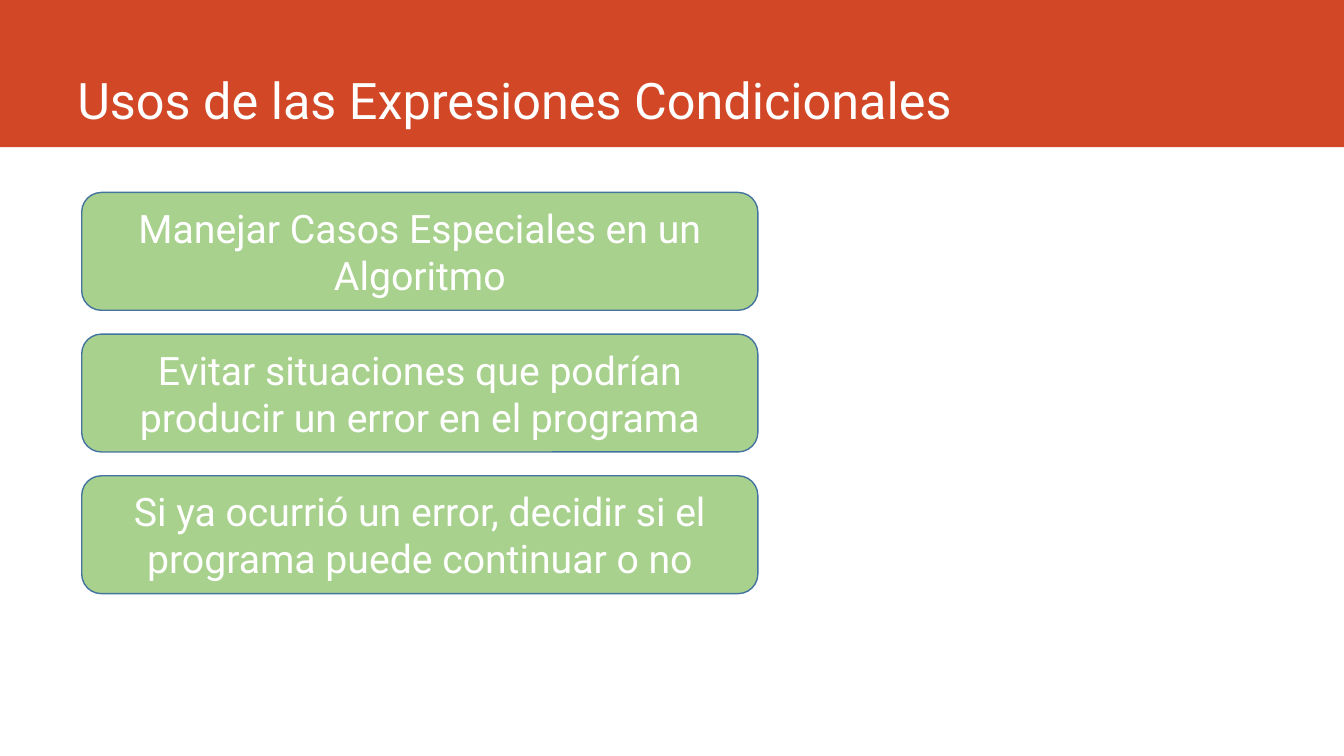
import pptx
import pptx.dml.color
import pptx.enum.shapes
import pptx.enum.text
import pptx.util

Cm = pptx.util.Cm
Pt = pptx.util.Pt
SHAPE = pptx.enum.shapes.MSO_SHAPE
ANCHOR = pptx.enum.text.MSO_ANCHOR
ALIGN = pptx.enum.text.PP_ALIGN


def rgb(value):
    return pptx.dml.color.RGBColor.from_string(value)


def write(sp, text, size, color, font, align=ALIGN.LEFT, anchor=ANCHOR.MIDDLE):
    tf = sp.text_frame
    tf.word_wrap = True
    tf.vertical_anchor = anchor
    p = tf.paragraphs[0]
    p.alignment = align
    r = p.add_run()
    r.text = text
    r.font.size = Pt(size)
    r.font.name = font
    r.font.color.rgb = rgb(color)


class SlideBuilder:
    FONT = "Roboto"
    WHITE = "FFFFFF"
    RED = "D24726"
    GREEN = "A9D18E"
    BLUE = "43739E"

    def __init__(self, slide):
        self.s = slide

    def shape(self, kind, x, y, w, h, fill, line=None):
        sp = self.s.shapes.add_shape(kind, Cm(x), Cm(y), Cm(w), Cm(h))
        sp.shadow.inherit = False
        sp.fill.solid()
        sp.fill.fore_color.rgb = rgb(fill)
        if line:
            sp.line.color.rgb = rgb(line)
            sp.line.width = Pt(1)
        else:
            sp.line.fill.background()
        return sp

    def title(self, text, x, y, w, h):
        sp = self.s.shapes.add_textbox(Cm(x), Cm(y), Cm(w), Cm(h))
        write(sp, text, 36, self.WHITE, self.FONT, anchor=ANCHOR.BOTTOM)

    def card(self, text, x, y, w, h):
        sp = self.shape(SHAPE.ROUNDED_RECTANGLE, x, y, w, h, self.GREEN, self.BLUE)
        write(sp, text, 28, self.WHITE, self.FONT, align=ALIGN.CENTER)


def main():
    prs = pptx.Presentation()
    prs.slide_width, prs.slide_height = Cm(33.87), Cm(19.05)
    b = SlideBuilder(prs.slides.add_slide(prs.slide_layouts[6]))

    # Header band and title
    b.shape(SHAPE.RECTANGLE, 0, 0, 33.87, 3.71, b.RED)
    b.title("Usos de las Expresiones Condicionales", 1.7, 0, 29.85, 3.4)

    # Stacked cards, one per use
    uses = [
        "Manejar Casos Especiales en un Algoritmo",
        "Evitar situaciones que podrían producir un error en el programa",
        "Si ya ocurrió un error, decidir si el programa puede continuar o no",
    ]
    top, height, gap = 4.85, 2.97, 0.6
    for i, use in enumerate(uses):
        b.card(use, 2.06, top + i * (height + gap), 17.04, height)

    prs.save("out.pptx")


if __name__ == "__main__":
    main()
